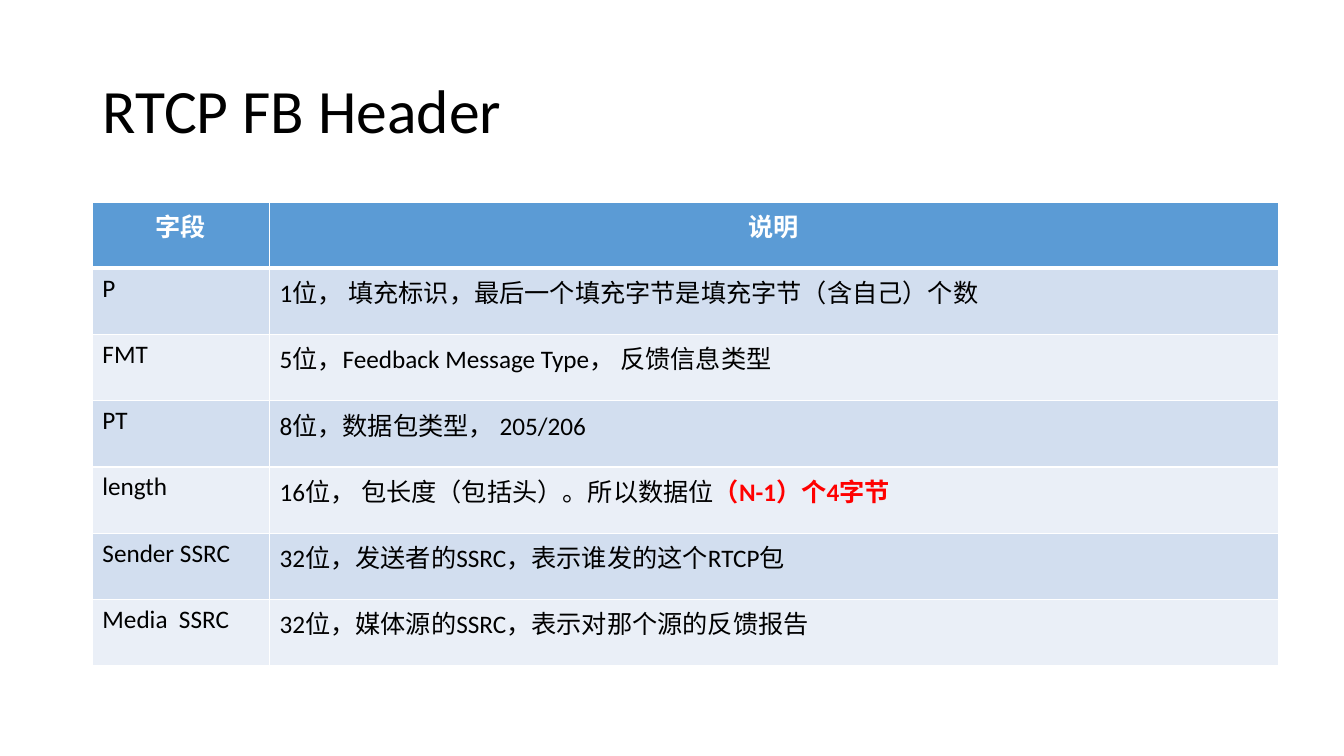
from lxml.etree import SubElement
from pptx import Presentation
from pptx.dml.color import RGBColor
from pptx.enum.text import MSO_ANCHOR, PP_ALIGN
from pptx.oxml.ns import qn
from pptx.util import Pt

TITLE = "RTCP FB Header"
HEADINGS = ("字段", "说明")
# Each description is a list of spans; a second span is emphasised.
FIELDS = [
    ("P", ["1位， 填充标识，最后一个填充字节是填充字节（含自己）个数"]),
    ("FMT", ["5位，Feedback Message Type， 反馈信息类型"]),
    ("PT", ["8位，数据包类型， 205/206"]),
    ("length", ["16位， 包长度（包括头）。所以数据位", "（N-1）个4字节"]),
    ("Sender SSRC", ["32位，发送者的SSRC，表示谁发的这个RTCP包"]),
    ("Media  SSRC", ["32位，媒体源的SSRC，表示对那个源的反馈报告"]),
]
COLORS = {
    "text": "000000", "heading": "FFFFFF", "emphasis": "FF0000", "border": "FFFFFF",
    "header": "5B9BD5", "odd": "D2DEEF", "even": "EAEFF7",
}
FONT = "Calibri"
LEFT, TABLE_TOP = 66, 144.4
COLUMN_WIDTHS = (126.5, 720.5)
ROW_HEIGHT = 47.3


def color(name):
    """Return the named colour."""
    return RGBColor.from_string(COLORS[name])


def style(font, size, name, bold=False):
    """Set typeface, size, colour and weight of a font."""
    font.name, font.size, font.bold = FONT, Pt(size), bold
    font.color.rgb = color(name)


def add_borders(cell, widths):
    """Draw cell borders; widths maps each side (L, R, T, B) to points."""
    properties = cell._tc.get_or_add_tcPr()
    for side, width in widths.items():
        line = SubElement(properties, qn(f"a:ln{side}"), w=str(Pt(width)))
        fill = SubElement(line, qn("a:solidFill"))
        SubElement(fill, qn("a:srgbClr"), val=COLORS["border"])


def fill_cell(cell, spans, row):
    """Write spans into a cell and format it for its row."""
    header = row == 0
    add_borders(cell, {"L": 1, "R": 1, "T": 3 if row == 1 else 1, "B": 3 if header else 1})
    cell.fill.solid()
    cell.fill.fore_color.rgb = color("header" if header else "odd" if row % 2 else "even")
    para = cell.text_frame.paragraphs[0]
    para.alignment = PP_ALIGN.CENTER if header else PP_ALIGN.LEFT
    style(para.font, 18, "heading" if header else "text", header)
    for index, text in enumerate(spans):
        span = para.add_run()
        span.text = text
        if index:
            style(span.font, 18, "emphasis", True)


def add_title(page):
    """Place and format the title."""
    box = page.shapes.title
    box.left, box.top, box.width, box.height = Pt(LEFT), Pt(28.8), Pt(828), Pt(104.4)
    box.text_frame.text = TITLE
    box.text_frame.vertical_anchor = MSO_ANCHOR.MIDDLE
    para = box.text_frame.paragraphs[0]
    para.alignment, para.line_spacing = PP_ALIGN.LEFT, 0.9
    style(para.font, 44, "text")


def add_fields(page):
    """Add the table of header fields."""
    rows = [[[text] for text in HEADINGS]] + [[[name], spans] for name, spans in FIELDS]
    table = page.shapes.add_table(
        len(rows), len(HEADINGS), Pt(LEFT), Pt(TABLE_TOP),
        Pt(sum(COLUMN_WIDTHS)), Pt(ROW_HEIGHT * len(rows))).table
    for column, width in zip(table.columns, COLUMN_WIDTHS):
        column.width = Pt(width)
    for row, cells in enumerate(rows):
        table.rows[row].height = Pt(ROW_HEIGHT)
        for column, spans in enumerate(cells):
            fill_cell(table.cell(row, column), spans, row)


deck = Presentation()
deck.slide_width, deck.slide_height = Pt(960), Pt(540)
page = deck.slides.add_slide(deck.slide_layouts.get_by_name("Title Only"))
add_title(page)
add_fields(page)
deck.save("out.pptx")
